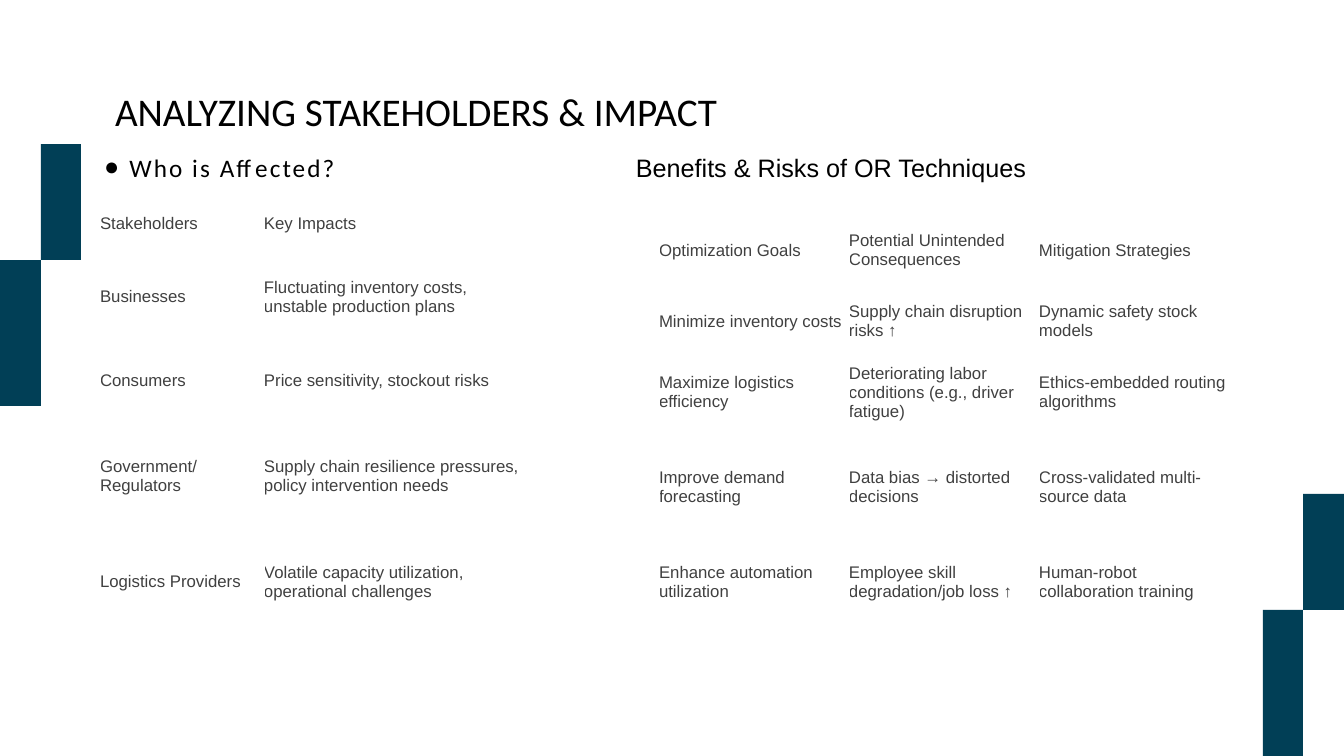
from pptx import Presentation
from pptx.dml.color import RGBColor as RGB
from pptx.enum.shapes import MSO_SHAPE as Shape
from pptx.enum.text import MSO_ANCHOR as Anchor, MSO_AUTO_SIZE as Fit, PP_ALIGN as Align
from pptx.oxml.ns import qn
from pptx.util import Pt
from lxml.etree import SubElement as Sub

TITLE = "ANALYZING STAKEHOLDERS & IMPACT"
WHO = "Who is Affected?"
RISKS = "Benefits & Risks of OR Techniques"
BARS = [(1303, 494, 41, 116), (1263, 610, 40, 146),
        (41, 144, 40, 116), (0, 260, 41, 146)]
IMPACTS = [
    ("Stakeholders", "Key Impacts"),
    ("Businesses", "Fluctuating inventory costs, unstable production plans"),
    ("Consumers", "Price sensitivity, stockout risks"),
    ("Government/Regulators", "Supply chain resilience pressures, policy intervention needs"),
    ("Logistics Providers", "Volatile capacity utilization, operational challenges"),
]
GOALS = [
    ("Optimization Goals", "Potential Unintended Consequences", "Mitigation Strategies"),
    ("Minimize inventory costs", "Supply chain disruption risks ↑", "Dynamic safety stock models"),
    ("Maximize logistics efficiency", "Deteriorating labor conditions (e.g., driver fatigue)",
     "Ethics-embedded routing algorithms"),
    ("Improve demand forecasting", "Data bias → distorted decisions",
     "Cross-validated multi-source data"),
    ("Enhance automation utilization", "Employee skill degradation/job loss ↑",
     "Human-robot collaboration training"),
]
TABLES = [
    (IMPACTS, 100, 198, [164, 270], [52, 94, 74, 117, 94]),
    (GOALS, 659, 203, [190] * 3, [95, 47, 95, 95, 95]),
]


def px(n):
    return round(n * 914400 / 100.8)


def color(code):
    return RGB.from_string(code)


def style(para, face, size, code):
    font = para.font
    font.name, font.size, font.bold = face, Pt(size), False
    font.color.rgb = color(code)


def write(shape, box, text, face, size, anchor):
    shape.left, shape.top, shape.width, shape.height = map(px, box)
    frame = shape.text_frame
    frame.text = text
    frame.word_wrap, frame.auto_size = True, Fit.NONE
    frame.vertical_anchor = anchor
    para = frame.paragraphs[0]
    para.alignment = Align.LEFT
    style(para, face, size, "000000")
    return para


def bullet(para):
    para.line_spacing, para.space_before, para.space_after = 1.3, Pt(0), Pt(10)
    props = para._p.get_or_add_pPr()
    props.set("marL", "228600")
    props.set("indent", "-228600")
    mark = Sub(props, qn("a:buChar"))
    mark.set("char", "●")
    props.find(qn("a:spcAft")).addnext(mark)
    para.runs[0]._r.get_or_add_rPr().set("spc", "150")


def grid(slide, rows, left, top, cols, highs):
    table = slide.shapes.add_table(
        len(rows), len(cols), px(left), px(top), px(sum(cols)), px(sum(highs))).table
    table.first_row = table.horz_banding = False
    for col, wide in zip(table.columns, cols):
        col.width = px(wide)
    for row, high, texts in zip(table.rows, highs, rows):
        row.height = px(high)
        for cell, text in zip(row.cells, texts):
            cell.text = text
            cell.fill.background()
            cell.vertical_anchor = Anchor.MIDDLE
            cell.margin_left = cell.margin_right = 0
            cell.margin_top = cell.margin_bottom = 0
            style(cell.text_frame.paragraphs[0], "Arial", 12, "404040")


def main():
    deck = Presentation()
    deck.slide_width, deck.slide_height = px(1344), px(756)
    slide = deck.slides.add_slide(deck.slide_layouts[1])
    for box in BARS:
        bar = slide.shapes.add_shape(Shape.RECTANGLE, *map(px, box))
        bar.shadow.inherit = False
        bar.fill.solid()
        bar.fill.fore_color.rgb = color("013F56")
        bar.line.fill.background()
    write(slide.shapes.title, (105, 22, 997, 117), TITLE, "Calibri", 28, Anchor.BOTTOM)
    bullet(write(slide.placeholders[1], (94, 138, 276, 58), WHO, "Calibri", 18, Anchor.TOP))
    note = slide.shapes.add_textbox(0, 0, 0, 0)
    write(note, (626, 147, 541, 40), RISKS, "Arial", 18, Anchor.TOP)
    for table in TABLES:
        grid(slide, *table)
    deck.save("out.pptx")


if __name__ == "__main__":
    main()
